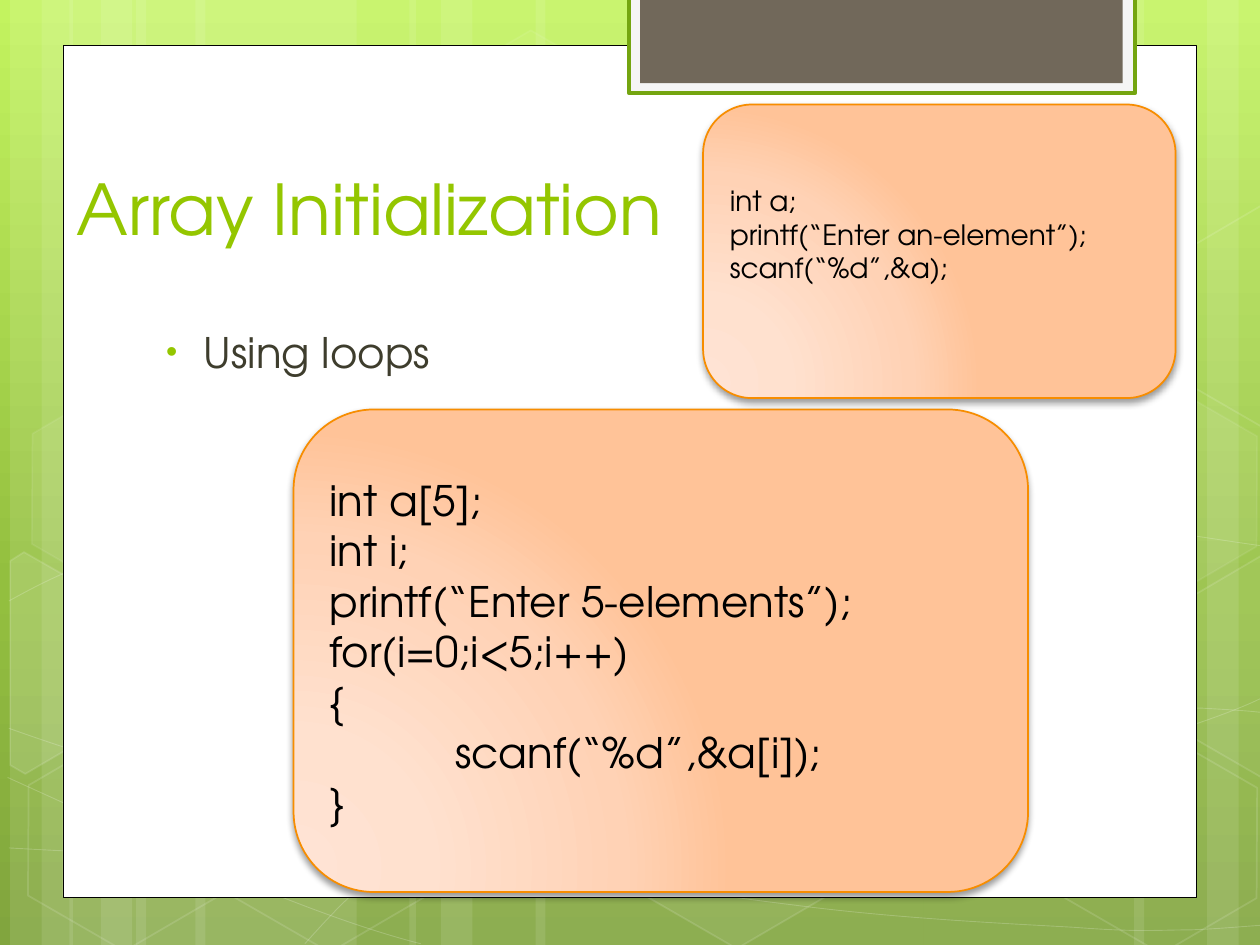
from math import cos, radians, sin

from lxml.etree import SubElement
from pptx import Presentation
from pptx.dml.color import RGBColor
from pptx.enum.shapes import MSO_SHAPE
from pptx.enum.text import MSO_ANCHOR, PP_ALIGN
from pptx.oxml.ns import qn
from pptx.util import Inches, Pt

FONT = "TeX Gyre Adventor"
C = {"white": "FFFFFF", "black": "000000", "green": "94C600", "body": "3E3D2D",
     "tab_edge": "74A510", "tab_back": "F5F5F5", "tab": "71685A", "orange": "F78D00"}
BACKDROP = [(0, "C3F35F"), (62, "93BF3F"), (100, "81A53E")]
PEACH = [(0, "FFE3D4"), (30, "FFE1CF"), (75, "FFD2B5"), (100, "FFC398")]
STRIPES = [(1.08, 1.75, 0), (0.08, 0.5, 0), (0.33, 0.83, 0), (1.55, 1.75, 0),
           (0.55, 0.5, 0), (0.8, 0.83, 0), (7.33, 1.75, 180), (9.58, 0.5, 180),
           (9, 0.83, 180), (4.25, 3.08, 0), (3.25, 0.5, 0), (3.5, 0.83, 0)]
WAVES = [
    [(0.07, 6.73), (0.61, 6.76), (1.15, 6.79), (1.9, 6.78), (2.65, 6.77), (3.58, 6.75),
     (4.58, 6.65), (5.58, 6.55), (7, 6.36), (7.92, 6.17), (8.83, 5.98), (9.77, 5.68),
     (10.07, 5.51)],
    [(0.07, 4.77), (0.36, 4.61), (0.65, 4.46), (1.21, 4.31), (1.78, 4.16), (2.59, 3.94),
     (3.47, 3.87), (4.36, 3.8), (5.44, 3.79), (6.54, 3.87), (7.64, 3.95), (9.47, 4.26),
     (10.07, 4.34)],
    [(0.06, 6.17), (1.27, 6.72), (2.47, 7.27), (3.34, 7.49)],
    [(0.07, 5.78), (0.38, 5.89), (0.7, 6), (1.28, 6.16), (1.86, 6.31), (2.73, 6.56),
     (3.57, 6.73), (4.4, 6.9), (5.45, 7.08), (6.28, 7.18), (7.11, 7.29), (8, 7.33),
     (8.53, 7.36), (9.05, 7.4), (9.19, 7.38), (9.45, 7.38), (9.71, 7.37), (9.89, 7.35),
     (10.07, 7.34)],
    [(2.42, 7.49), (2.6, 7.29), (2.78, 7.09), (3.02, 6.91), (3.26, 6.73), (3.6, 6.53),
     (3.88, 6.39), (4.16, 6.25), (4.33, 6.19), (4.7, 6.09), (5.06, 5.99), (5.73, 5.85),
     (6.08, 5.78), (6.44, 5.71), (6.49, 5.71), (6.8, 5.69), (7.11, 5.66), (7.6, 5.63),
     (7.94, 5.62), (8.29, 5.61), (8.86, 5.62), (8.86, 5.62), (9.08, 5.62), (9.3, 5.62),
     (9.53, 5.62), (9.71, 5.63), (9.88, 5.64), (9.97, 5.65), (10.06, 5.66), (10.03, 5.65),
     (10.06, 5.66)],
]
HEXAGONS = [(3.34, 0.36, 4, 8), (4.97, 5.89, 6, 12), (0.11, 5.91, None, 12),
            (0.14, 3.12, 7, 8), (1.74, 5.92, None, 12), (7.53, 4.53, 10, 12),
            (8.34, 5.93, None, 12), (8.34, 3.14, 7, 8)]
CUT_HEXAGONS = [
    (0.36, 5.35, 10, [(0.08, 4.45), (0.19, 4.38), (0.96, 4.82), (0.95, 5.7), (0.2, 6.14),
                      (0.08, 6.07)]),
    (9.85, 5.2, 4, [(9.26, 4.85), (10.01, 4.41), (10.09, 4.46), (10.09, 6.13),
                    (10.02, 6.17), (9.26, 5.73)]),
    (9.85, 2.41, None, [(9.26, 2.07), (10.01, 1.63), (10.1, 1.68), (10.09, 3.35),
                        (10.02, 3.39), (9.26, 2.95)]),
]
LOOP_CODE = ["int a[5];", "int i;", "printf(“Enter 5-elements”);", "for(i=0;i<5;i++)",
             "{", "\tscanf(“%d”,&a[i]);", "}"]
SINGLE_CODE = ["int a;", "printf(“Enter an-element”);", "scanf(“%d”,&a);"]


def set_color(fill, color, alpha, el):
    """Fill with one colour and an opacity in percent."""
    fill.solid()
    fill.fore_color.rgb = RGBColor.from_string(C[color])
    if alpha < 100:
        clr = el.find(f"{qn('a:solidFill')}/{qn('a:srgbClr')}")
        SubElement(clr, qn("a:alpha"), val=str(alpha * 1000))


def paint(shape, fill=None, alpha=100, line=None, width=1, line_alpha=100):
    """Set the fill and outline of a shape and take off its shadow."""
    pr = shape.element.spPr
    shape.shadow.inherit = False
    if fill:
        set_color(shape.fill, fill, alpha, pr)
    else:
        shape.fill.background()
    if line:
        shape.line.width = Pt(width)
        set_color(shape.line.fill, line, line_alpha, pr.find(qn("a:ln")))
    else:
        shape.line.fill.background()
    return shape


def set_gradient(parent, stops, circle=False):
    """Replace the solid fill of an element with a gradient."""
    solid = parent.find(qn("a:solidFill"))
    grad = SubElement(parent, qn("a:gradFill"), rotWithShape="1")
    parent.replace(solid, grad)
    gs_lst = SubElement(grad, qn("a:gsLst"))
    for pos, color in stops:
        gs = SubElement(gs_lst, qn("a:gs"), pos=str(pos * 1000))
        SubElement(gs, qn("a:srgbClr"), val=color)
    if circle:
        to = SubElement(grad, qn("a:path"), path="circle")
        SubElement(to, qn("a:fillToRect"), l="5000", t="100000", r="120000", b="10000")
    else:
        SubElement(grad, qn("a:lin"), ang="5400000", scaled="0")


def add_box(s, kind, x, y, w, h):
    """Add a preset shape, in inches."""
    return s.shapes.add_shape(kind, Inches(x), Inches(y), Inches(w), Inches(h))


def add_outline(s, pts, close):
    """Add a freeform through points in inches."""
    pts = [(Inches(x), Inches(y)) for x, y in pts]
    fb = s.shapes.build_freeform(*pts[0], scale=1.0)
    fb.add_line_segments(pts[1:], close=close)
    return fb.convert_to_shape()


def add_wave(s, pts):
    """Add an open outline whose points form chained cubic curves."""
    sp = add_outline(s, pts, False)
    outline = sp.element.find(f".//{qn('a:path')}")
    lines = outline.findall(qn("a:lnTo"))
    for i in range(0, len(lines), 3):
        curve = SubElement(outline, qn("a:cubicBezTo"))
        for line in lines[i:i + 3]:
            curve.append(line[0])
            outline.remove(line)
    return sp


def turn(pts, cx, cy, degrees):
    """Rotate points about a centre."""
    c, d = cos(radians(degrees)), sin(radians(degrees))
    return [(cx + (x - cx) * c - (y - cy) * d, cy + (x - cx) * d + (y - cy) * c)
            for x, y in pts]


def write_lines(tf, lines, size, color):
    """Write one left-aligned paragraph per line."""
    tf.word_wrap = True
    for i, line in enumerate(lines):
        p = tf.add_paragraph() if i else tf.paragraphs[0]
        p.alignment = PP_ALIGN.LEFT
        p._p.get_or_add_pPr().set("defTabSz", str(Inches(1)))
        r = p.add_run()
        r.text = line
        r.font.size = Pt(size)
        r.font.name = FONT
        r.font.color.rgb = RGBColor.from_string(C[color])


def add_backdrop(s):
    """Draw the green background with stripes, waves and hexagons."""
    s.background.fill.solid()
    set_gradient(s.element.find(f".//{qn('p:bgPr')}"), BACKDROP)
    for x, w, angle in STRIPES:
        paint(add_box(s, MSO_SHAPE.RECTANGLE, x, 0, w, 7.5), "white", 10).rotation = angle
    for pts in WAVES:
        paint(add_wave(s, pts), line="white", width=0.5, line_alpha=20)
    for x, y, alpha, line_alpha in HEXAGONS:
        sp = add_box(s, MSO_SHAPE.HEXAGON, x, y, 1.75, 1.52)
        sp.adjustments[0], sp.adjustments[1] = 0.285, 1.155
        sp.rotation = 30
        paint(sp, "white" if alpha else None, alpha or 100, "white", 1, line_alpha)
    for cx, cy, alpha, pts in CUT_HEXAGONS:
        sp = add_outline(s, turn(pts, cx, cy, -30), True)
        sp.rotation = 30
        paint(sp, "white" if alpha else None, alpha or 100, "white", 1, 12)


def add_panel(s, x, y, w, h):
    """Draw the white panel and the framed tab at its top."""
    paint(add_box(s, MSO_SHAPE.RECTANGLE, x, y, w, h), "white", line="black", width=0.5)
    paint(add_box(s, MSO_SHAPE.RECTANGLE, x + 4.49, y - 0.38, 4.02, 0.76), "tab_back",
          line="tab_edge", width=2)
    paint(add_box(s, MSO_SHAPE.RECTANGLE, x + 4.58, y - 0.38, 3.83, 0.68), "tab")


def add_text(s, x, y, w, h, text, size, color, anchor):
    """Add a one-line text box and return its paragraph."""
    tf = s.shapes.add_textbox(Inches(x), Inches(y), Inches(w), Inches(h)).text_frame
    tf.vertical_anchor = anchor
    write_lines(tf, [text], size, color)
    return tf.paragraphs[0]


def add_bullet(p, size):
    """Give a paragraph a green bullet with a hanging indent."""
    p.space_before = Pt(4.8)
    pr = p._p.get_or_add_pPr()
    pr.set("marL", str(Inches(0.38)))
    pr.set("indent", str(Inches(-0.3)))
    SubElement(SubElement(pr, qn("a:buClr")), qn("a:srgbClr"), val=C["green"])
    SubElement(pr, qn("a:buSzPct"), val=str(size * 1000))
    SubElement(pr, qn("a:buFont"), typeface="Arial")
    SubElement(pr, qn("a:buChar"), char="•")


def add_code(s, x, y, w, h, lines, size, bottom=0.05):
    """Add a rounded peach box holding code."""
    sp = paint(add_box(s, MSO_SHAPE.ROUNDED_RECTANGLE, x, y, w, h), "white", line="orange")
    pr = sp.element.spPr
    set_gradient(pr, PEACH, circle=True)
    shadow = SubElement(pr.find(qn("a:effectLst")), qn("a:outerShdw"), blurRad=str(Pt(4)),
                        dist=str(Pt(2)), dir="5400000", rotWithShape="0")
    clr = SubElement(shadow, qn("a:srgbClr"), val=C["black"])
    SubElement(clr, qn("a:alpha"), val="40000")
    tf = sp.text_frame
    tf.vertical_anchor = MSO_ANCHOR.MIDDLE
    tf.margin_bottom = Inches(bottom)
    write_lines(tf, lines, size, "black")


prs = Presentation()
prs.slide_width, prs.slide_height = Inches(10), Inches(7.5)
s = prs.slides.add_slide(prs.slide_layouts[6])
add_backdrop(s)
add_panel(s, 0.5, 0.36, 9, 6.76)
add_text(s, 0.51, 0.78, 7.68, 1.25, "Array Initialization", 40, "green", MSO_ANCHOR.BOTTOM)
add_bullet(add_text(s, 1.14, 2.54, 7.41, 3.84, "Using loops", 24, "body", MSO_ANCHOR.TOP), 76)
add_code(s, 2.33, 3.25, 5.83, 3.83, LOOP_CODE, 24)
add_code(s, 5.58, 0.83, 3.75, 2.33, SINGLE_CODE, 16, bottom=0.32)
prs.save("out.pptx")
